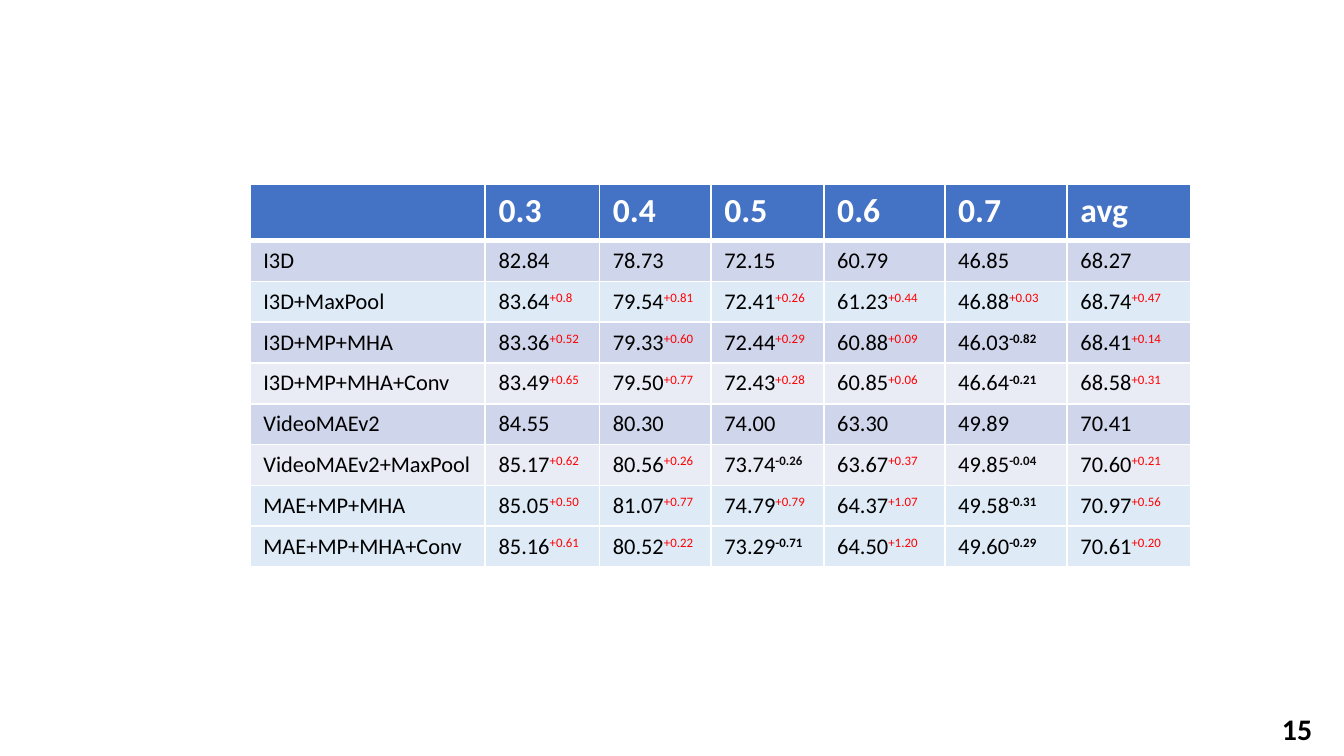
"""Build a slide with a table of scores by threshold for each model variant."""
from dataclasses import dataclass

from lxml import etree
from pptx import Presentation, util as u
from pptx.dml import color
from pptx.oxml import ns

WHITE = color.RGBColor(0xFF, 0xFF, 0xFF)
BLACK = color.RGBColor(0x00, 0x00, 0x00)
NEAR_BLACK = color.RGBColor(0x0D, 0x0D, 0x0D)
RED = color.RGBColor(0xFF, 0x00, 0x00)
BLUE = color.RGBColor(0x44, 0x72, 0xC4)
LAVENDER = color.RGBColor(0xCF, 0xD5, 0xEA)
PALE_GREY = color.RGBColor(0xE9, 0xEB, 0xF5)
PALE_BLUE = color.RGBColor(0xDE, 0xEB, 0xF7)

BODY = {"name": "Calibri", "size": u.Pt(12), "bold": False}
HEADING = BODY | {"size": u.Pt(18), "bold": True}
PAGE_NUMBER = HEADING | {"size": u.Pt(16)}

SLIDE_WIDTH = 10
SLIDE_HEIGHT = SLIDE_WIDTH * 9 / 16
THRESHOLDS = ("", "0.3", "0.4", "0.5", "0.6", "0.7", "avg")
COLUMN_WIDTHS = (1.75, 0.85, 0.83, 0.84, 0.9, 0.91, 0.92)
HEADER_HEIGHT, ROW_HEIGHT = 0.42, 0.3


@dataclass(frozen=True)
class Variant:
    """A model variant, its scores and the changes from its baseline."""
    model: str
    fill: color.RGBColor
    scores: str
    changes: str = ""
    loss_color: color.RGBColor = BLACK


VARIANTS = (
    Variant("I3D", LAVENDER, "82.84 78.73 72.15 60.79 46.85 68.27"),
    Variant("I3D+MaxPool", PALE_BLUE, "83.64 79.54 72.41 61.23 46.88 68.74",
            "+0.8 +0.81 +0.26 +0.44 +0.03 +0.47"),
    Variant("I3D+MP+MHA", LAVENDER, "83.36 79.33 72.44 60.88 46.03 68.41",
            "+0.52 +0.60 +0.29 +0.09 -0.82 +0.14"),
    Variant("I3D+MP+MHA+Conv", PALE_GREY, "83.49 79.50 72.43 60.85 46.64 68.58",
            "+0.65 +0.77 +0.28 +0.06 -0.21 +0.31"),
    Variant("VideoMAEv2", LAVENDER, "84.55 80.30 74.00 63.30 49.89 70.41"),
    Variant("VideoMAEv2+MaxPool", PALE_GREY, "85.17 80.56 73.74 63.67 49.85 70.60",
            "+0.62 +0.26 -0.26 +0.37 -0.04 +0.21", NEAR_BLACK),
    Variant("MAE+MP+MHA", PALE_BLUE, "85.05 81.07 74.79 64.37 49.58 70.97",
            "+0.50 +0.77 +0.79 +1.07 -0.31 +0.56"),
    Variant("MAE+MP+MHA+Conv", PALE_BLUE, "85.16 80.52 73.29 64.50 49.60 70.61",
            "+0.61 +0.22 -0.71 +1.20 -0.29 +0.20"),
)


def add_words(paragraph, words: str, formats: dict, ink: color.RGBColor, raised: bool = False) -> None:
    """Append a formatted run, raised as a superscript if asked."""
    run = paragraph.add_run()
    run.text = words
    for attribute, value in formats.items():
        setattr(run.font, attribute, value)
    run.font.color.rgb = ink
    if raised:
        run._r.get_or_add_rPr().set("baseline", "30000")


def style_cell(cell, fill: color.RGBColor, top: float = 1, bottom: float = 1) -> None:
    """Give a cell white borders of the given point widths and a solid fill."""
    properties = cell._tc.get_or_add_tcPr()
    for side, width in {"L": 1, "R": 1, "T": top, "B": bottom}.items():
        line = etree.SubElement(properties, ns.qn(f"a:ln{side}"), w=str(u.Pt(width)))
        solid = etree.SubElement(line, ns.qn("a:solidFill"))
        etree.SubElement(solid, ns.qn("a:srgbClr"), val=str(WHITE))
    cell.fill.solid()
    cell.fill.fore_color.rgb = fill


def fill_header(cells) -> None:
    """Write the threshold headings."""
    for cell, threshold in zip(cells, THRESHOLDS):
        style_cell(cell, BLUE, bottom=3)
        if threshold:
            add_words(cell.text_frame.paragraphs[0], threshold, HEADING, WHITE)


def fill_variant(cells, variant: Variant, top: float) -> None:
    """Write a variant's name and its scores with their changes."""
    labels = [variant.model, *variant.scores.split()]
    changes = ["", *variant.changes.split()] if variant.changes else [""] * len(labels)
    for cell, label, change in zip(cells, labels, changes):
        style_cell(cell, variant.fill, top=top)
        paragraph = cell.text_frame.paragraphs[0]
        add_words(paragraph, label, BODY, BLACK)
        if change:
            loss = change.startswith("-")
            add_words(paragraph, change, BODY | {"bold": loss},
                      variant.loss_color if loss else RED, raised=True)


def add_score_table(slide) -> None:
    """Add the whole table of scores."""
    height = HEADER_HEIGHT + ROW_HEIGHT * len(VARIANTS)
    scores = slide.shapes.add_table(
        len(VARIANTS) + 1, len(THRESHOLDS), u.Inches(1.86), u.Inches(1.37),
        u.Inches(sum(COLUMN_WIDTHS)), u.Inches(height)).table
    for column, width in zip(scores.columns, COLUMN_WIDTHS):
        column.width = u.Inches(width)
    header, *body = scores.rows
    header.height = u.Inches(HEADER_HEIGHT)
    fill_header(header.cells)
    for index, (row, variant) in enumerate(zip(body, VARIANTS)):
        row.height = u.Inches(ROW_HEIGHT)
        fill_variant(row.cells, variant, top=1 if index else 3)


def add_page_number(slide, number: str) -> None:
    """Add the page number in the bottom right corner."""
    frame = slide.shapes.add_textbox(
        u.Inches(9.44), u.Inches(5.24), u.Inches(0.47), u.Inches(0.32)).text_frame
    frame.word_wrap = True
    add_words(frame.paragraphs[0], number, PAGE_NUMBER, BLACK)


def main() -> None:
    """Build and save the presentation."""
    deck = Presentation()
    deck.slide_width, deck.slide_height = u.Inches(SLIDE_WIDTH), u.Inches(SLIDE_HEIGHT)
    slide = deck.slides.add_slide(deck.slide_layouts[6])
    add_score_table(slide)
    add_page_number(slide, "15")
    deck.save("out.pptx")


if __name__ == "__main__":
    main()
